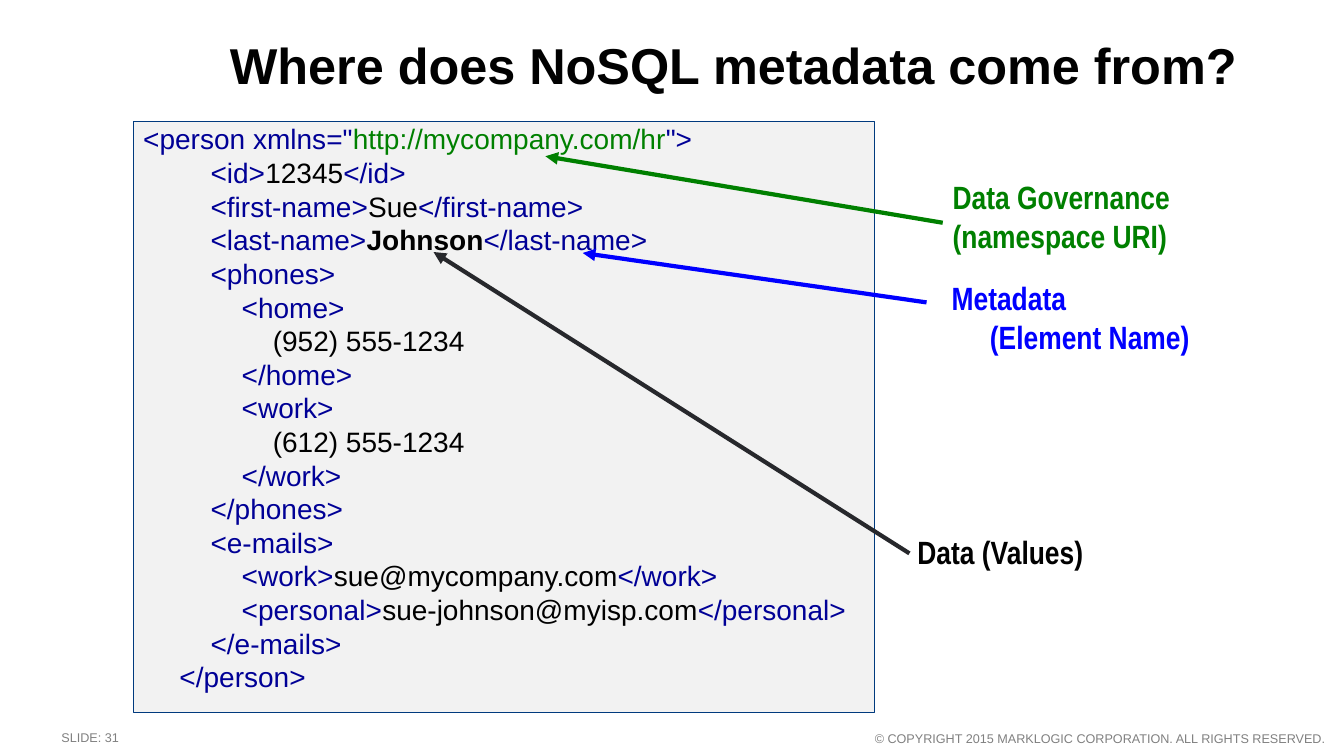
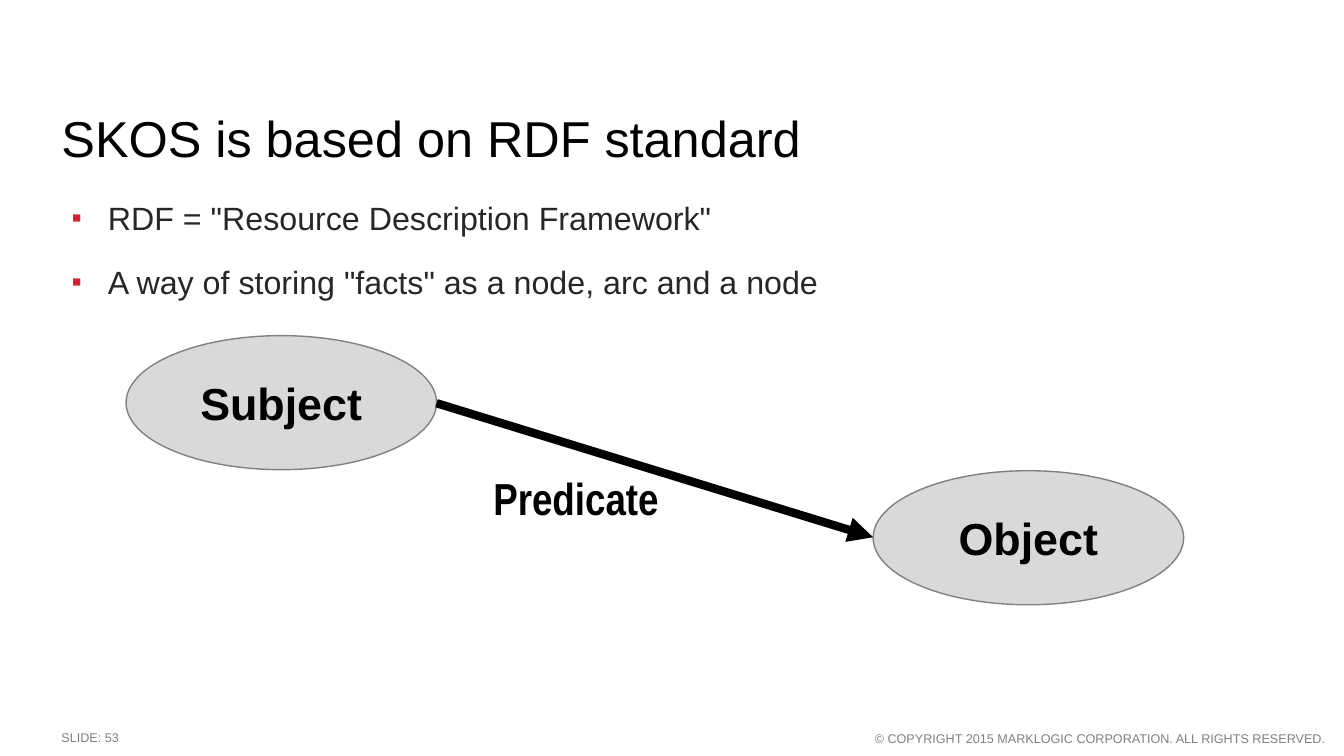
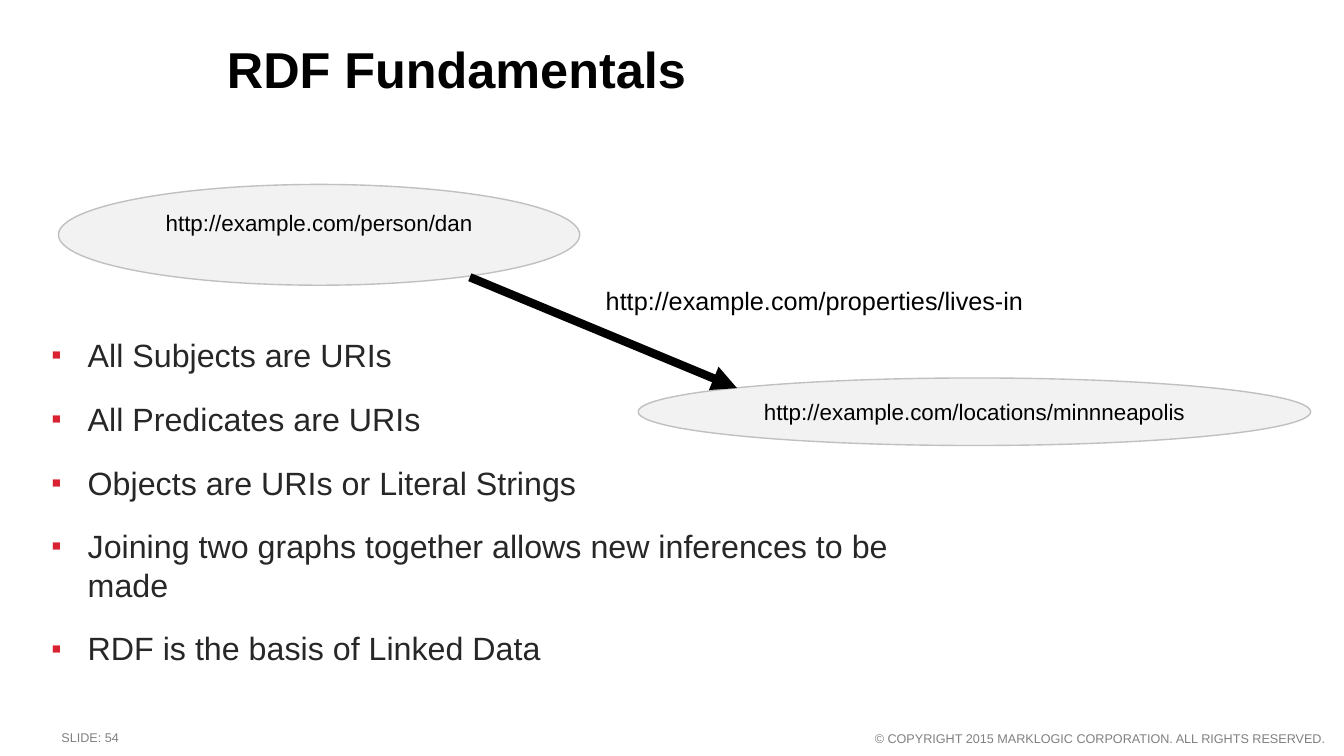
from pptx import Presentation
from pptx.dml.color import RGBColor
from pptx.enum.shapes import MSO_CONNECTOR, MSO_SHAPE
from pptx.enum.text import MSO_ANCHOR, MSO_AUTO_SIZE, PP_ALIGN
from pptx.oxml.ns import qn
from pptx.util import Inches, Pt
from lxml import etree

LEFT, CENTER, RIGHT = PP_ALIGN.LEFT, PP_ALIGN.CENTER, PP_ALIGN.RIGHT
TOP, MIDDLE = MSO_ANCHOR.TOP, MSO_ANCHOR.MIDDLE
NO_AUTOSIZE = MSO_AUTO_SIZE.NONE
ELLIPSE, STRAIGHT = MSO_SHAPE.OVAL, MSO_CONNECTOR.STRAIGHT

SANS, NARROW = "Arial", "Arial Narrow"
LINE_FACTOR = 1.2
COPYRIGHT = "© COPYRIGHT 2015 MARKLOGIC CORPORATION. ALL RIGHTS RESERVED."

COLORS = {
    "ink": "010101", "body": "272727", "footer": "808080", "bullet": "D92231",
    "tag": "000096", "value": "000000", "governance": "008000",
    "metadata": "0000FF", "data_arrow": "27282C",
    "panel": "F2F2F2", "panel_line": "003A7E",
    "node": "D9D9D9", "node_line": "808080", "uri_line": "C0C0C0",
}

# Each code line is a list of (text, colour, bold) runs
PERSON_XML = [
    [('<person xmlns="', "tag", False),
     ("http://mycompany.com/hr", "governance", False), ('">', "tag", False)],
    [("    <id>", "tag", False), ("12345", "value", False), ("</id>", "tag", False)],
    [("    <first-name>", "tag", False), ("Sue", "value", False),
     ("</first-name>", "tag", False)],
    [("    <last-name>", "tag", False), ("Johnson", "value", True),
     ("</last-name>", "tag", False)],
    [("    <phones>", "tag", False)],
    [("        <home>", "tag", False)],
    [("            (952) 555-1234", "value", False)],
    [("        </home>", "tag", False)],
    [("        <work>", "tag", False)],
    [("            (612) 555-1234", "value", False)],
    [("        </work>", "tag", False)],
    [("    </phones>", "tag", False)],
    [("    <e-mails>", "tag", False)],
    [("        <work>", "tag", False), ("sue@mycompany.com", "value", False),
     ("</work>", "tag", False)],
    [("        <personal>", "tag", False), ("sue-johnson@myisp.com", "value", False),
     ("</personal>", "tag", False)],
    [("    </e-mails>", "tag", False)],
    [("</person>", "tag", False)],
]


def rgb(name):
    return RGBColor.from_string(COLORS[name])


def place(shape, box):
    shape.left, shape.top, shape.width, shape.height = map(Inches, box)


def prepare_frame(shape, insets=(0, 0, 0, 0), anchor=TOP):
    frame = shape.text_frame
    frame.word_wrap = True
    frame.auto_size = NO_AUTOSIZE
    frame.vertical_anchor = anchor
    (frame.margin_left, frame.margin_top,
     frame.margin_right, frame.margin_bottom) = map(Inches, insets)
    return frame


def next_paragraph(frame, index):
    return frame.add_paragraph() if index else frame.paragraphs[0]


def add_run(paragraph, text, size, color, bold=False, font=SANS):
    run = paragraph.add_run()
    run.text = text
    run.font.name, run.font.size, run.font.bold = font, Pt(size), bold
    run.font.color.rgb = rgb(color)


def set_indent(paragraph, left, first=0.0, bullet=None):
    """Indent a paragraph and give it a bullet character or none."""
    props = paragraph._p.get_or_add_pPr()
    props.set("marL", str(Inches(left)))
    props.set("indent", str(Inches(first)))
    if bullet is None:
        etree.SubElement(props, qn("a:buNone"))
        return
    bullet_color = etree.SubElement(props, qn("a:buClr"))
    etree.SubElement(bullet_color, qn("a:srgbClr"), val=COLORS["bullet"])
    etree.SubElement(props, qn("a:buSzPct"), val="90000")
    etree.SubElement(props, qn("a:buFont"), typeface=SANS)
    etree.SubElement(props, qn("a:buChar"), char=bullet)


def add_text(slide, box, lines, size, color, bold=False, font=SANS,
             align=LEFT, inset=0.1, indents=(0, 0)):
    label = slide.shapes.add_textbox(*map(Inches, box))
    frame = prepare_frame(label, (inset, 0, 0, 0))
    for index, line in enumerate(lines):
        paragraph = next_paragraph(frame, index)
        set_indent(paragraph, indents[index])
        paragraph.alignment = align
        paragraph.line_spacing = Pt(round(size * LINE_FACTOR, 1))
        add_run(paragraph, line, size, color, bold, font)


def start_slide(prs, title, title_box, number, bold=True):
    """Slide with the shared title style and footer."""
    slide = prs.slides.add_slide(prs.slide_layouts[1])
    heading = slide.shapes.title
    place(heading, title_box)
    paragraph = prepare_frame(heading).paragraphs[0]
    paragraph.alignment = LEFT
    paragraph.line_spacing = Pt(40)
    add_run(paragraph, title, 36, "ink", bold)

    add_text(slide, (8.14, 7.25, 5, 0.15), [COPYRIGHT], 9, "footer",
             align=RIGHT, inset=0)
    add_text(slide, (0.61, 7.24, 5.53, 0.15), [f"SLIDE: {number}"], 9,
             "footer", inset=0)
    return slide


def fill_bullets(slide, box, items):
    body = slide.placeholders[1]
    place(body, box)
    frame = prepare_frame(body)
    for index, item in enumerate(items):
        paragraph = next_paragraph(frame, index)
        set_indent(paragraph, 0.46, -0.36, "▪")
        paragraph.line_spacing = Pt(27.5)
        paragraph.space_before = Pt(12 if index else 0)
        paragraph.space_after = Pt(6)
        add_run(paragraph, item, 23, "body")


def fill_code(slide, box, code_lines):
    panel = slide.placeholders[1]
    place(panel, box)
    panel.fill.solid()
    panel.fill.fore_color.rgb = rgb("panel")
    panel.line.color.rgb = rgb("panel_line")
    panel.line.width = Pt(0.75)
    frame = prepare_frame(panel)
    for index, runs in enumerate(code_lines):
        paragraph = next_paragraph(frame, index)
        set_indent(paragraph, 0.46 if index else 0.1)
        paragraph.line_spacing = Pt(24)
        paragraph.space_before = paragraph.space_after = Pt(0)
        for text, color, bold in runs:
            add_run(paragraph, text, 20, color, bold)


def add_node(slide, box, text, size, fill, line, bold=False, anchor=TOP):
    node = slide.shapes.add_shape(ELLIPSE, *map(Inches, box))
    node.shadow.inherit = False
    node.fill.solid()
    node.fill.fore_color.rgb = rgb(fill)
    node.line.color.rgb = rgb(line)
    node.line.width = Pt(1)
    paragraph = prepare_frame(node, (0.2, 0.1, 0.2, 0.1), anchor).paragraphs[0]
    paragraph.alignment = CENTER
    add_run(paragraph, text, size, "ink", bold)


def add_arrow(slide, start, end, color, width):
    arrow = slide.shapes.add_connector(STRAIGHT, *map(Inches, start + end))
    arrow.line.color.rgb = rgb(color)
    arrow.line.width = Pt(width)
    etree.SubElement(arrow.line._get_or_add_ln(), qn("a:tailEnd"), type="triangle")
    etree.SubElement(arrow._element.spPr, qn("a:effectLst"))


def build_metadata(prs):
    slide = start_slide(prs, "Where does NoSQL metadata come from?",
                        (2.28, 0.38, 10.1, 0.64), 31)
    fill_code(slide, (1.32, 1.21, 7.35, 5.86), PERSON_XML)

    # Arrows from the labels to the code
    for start, end, color in [
        ((9.02, 5.49), (4.3, 2.5), "data_arrow"),
        ((9.19, 3), (5.78, 2.51), "metadata"),
        ((9.35, 2.21), (5.41, 1.55), "governance"),
    ]:
        add_arrow(slide, start, end, color, 3)

    # Labels
    for box, lines, color, indents in [
        ((9.34, 2.76, 3.67, 0.97), ["Metadata", "(Element Name)"],
         "metadata", (0, 0.38)),
        ((9, 5.28, 2.16, 0.48), ["Data (Values)"], "ink", (0,)),
        ((9.35, 1.76, 2.83, 0.91), ["Data Governance", "(namespace URI)"],
         "governance", (0, 0)),
    ]:
        add_text(slide, box, lines, 23, color, True, NARROW, indents=indents)


def build_skos(prs):
    slide = start_slide(prs, "SKOS is based on RDF standard",
                        (0.61, 1.11, 12.13, 0.64), 53, bold=False)
    fill_bullets(slide, (0.61, 1.97, 12.13, 1.36), [
        'RDF = "Resource Description Framework"',
        'A way of storing "facts" as a node, arc and a node',
    ])

    # Subject, predicate, object
    for left, top, role in [(1.25, 3.33, "Subject"), (8.66, 4.67, "Object")]:
        add_node(slide, (left, top, 3.08, 1.33), role, 32, "node", "node_line",
                 True, MIDDLE)
    add_arrow(slide, (4.33, 4), (8.66, 5.33), "ink", 6)
    add_text(slide, (4.75, 4.67, 1.83, 0.58), ["Predicate"], 32, "ink", True,
             NARROW, CENTER)


def build_fundamentals(prs):
    slide = start_slide(prs, "RDF Fundamentals", (2.25, 0.42, 10.15, 0.64), 54)
    fill_bullets(slide, (0.41, 3.33, 9.05, 3.5), [
        "All Subjects are URIs",
        "All Predicates are URIs",
        "Objects are URIs or Literal Strings",
        "Joining two graphs together allows new inferences to be made",
        "RDF is the basis of Linked Data",
    ])

    # Example triple
    for box, uri in [
        ((0.58, 1.83, 5.17, 1), "http://example.com/person/dan"),
        ((6.33, 3.75, 6.67, 0.67), "http://example.com/locations/minnneapolis"),
    ]:
        add_node(slide, box, uri, 16, "panel", "uri_line")
    add_arrow(slide, (4.66, 2.75), (7.31, 3.85), "ink", 6)
    add_text(slide, (5.91, 2.83, 4.33, 0.5),
             ["http://example.com/properties/lives-in"], 18, "ink")


def main():
    prs = Presentation()
    prs.slide_width, prs.slide_height = Inches(13.33), Inches(7.5)
    build_metadata(prs)
    build_skos(prs)
    build_fundamentals(prs)
    prs.save("out.pptx")


if __name__ == "__main__":
    main()
